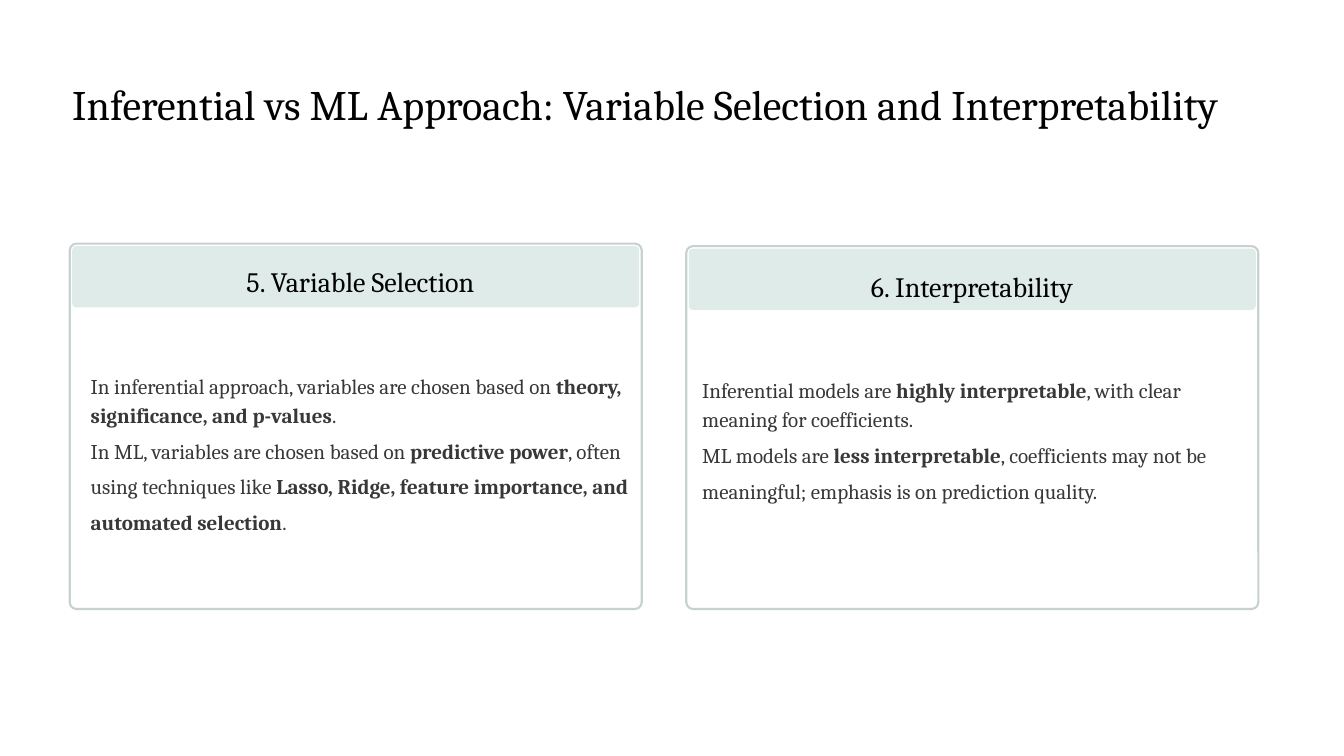
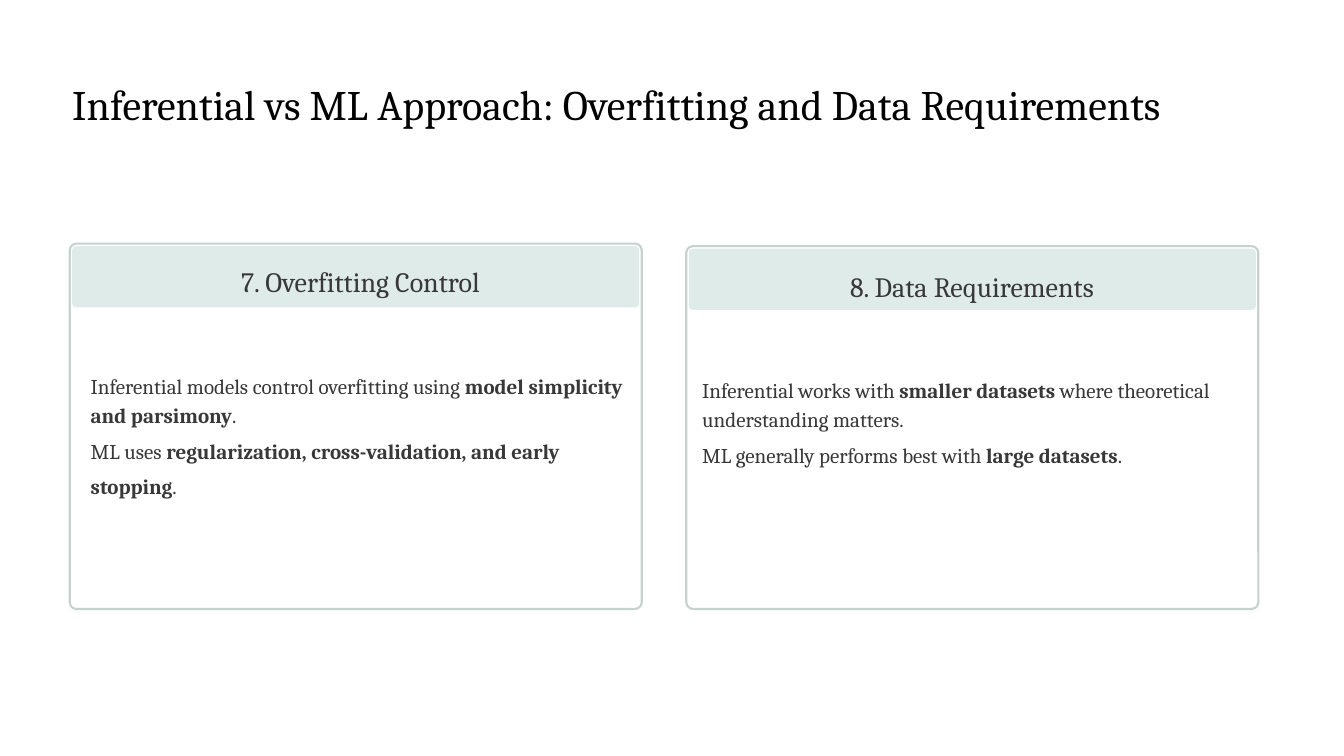
from dataclasses import dataclass

from pptx import Presentation
from pptx.dml.color import RGBColor
from pptx.enum.shapes import MSO_SHAPE
from pptx.enum.text import MSO_ANCHOR, PP_ALIGN
from pptx.shapes.autoshape import Shape
from pptx.slide import Slide
from pptx.text.text import TextFrame
from pptx.util import Emu, Inches, Pt

ROUNDED = MSO_SHAPE.ROUNDED_RECTANGLE
TOP = MSO_ANCHOR.TOP
LEFT, CENTER = PP_ALIGN.LEFT, PP_ALIGN.CENTER

COLUMNS, ROWS = 16, 9
SLIDE_WIDTH, SLIDE_HEIGHT = Inches(16), Inches(9)
FONT = "Cambria"
INK, GREY = "020202", "383838"
BAND_FILL, FRAME_LINE = "DFEBE9", "C5D2CF"
CARD_WIDTH, CARD_BOTTOM = 6.81, 7.25
BAND_INSET, BAND_HEIGHT = 0.03, 0.73
FRAME_RADIUS, BAND_RADIUS = 0.08, 0.05

TIGHT, LOOSE = Pt(25), Pt(30.5)
TITLE_FORMAT = {"alignment": LEFT, "line_spacing": Pt(51)}
HEADING_FORMAT = {"alignment": CENTER, "line_spacing": LOOSE}
INFERENTIAL_FORMAT = {"alignment": LEFT, "line_spacing": TIGHT, "space_before": 2 * LOOSE}
ML_FORMAT = {"alignment": LEFT, "line_spacing": LOOSE}


@dataclass(frozen=True)
class Area:
    """A rectangle in columns and rows of the slide grid."""
    left: float
    top: float
    width: float
    height: float

    def lengths(self) -> tuple[Emu, ...]:
        column, row = SLIDE_WIDTH / COLUMNS, SLIDE_HEIGHT / ROWS
        return (Emu(round(self.left * column)), Emu(round(self.top * row)),
                Emu(round(self.width * column)), Emu(round(self.height * row)))


@dataclass(frozen=True)
class Place:
    """Where a card's frame and its text start."""
    left: float
    top: float
    text_left: float
    text_top: float


@dataclass(frozen=True)
class Card:
    """A heading and two statements; ** surrounds bold words."""
    heading: str
    inferential: str
    ml: str


@dataclass(frozen=True)
class Page:
    title: str
    heading_color: str
    cards: tuple[Card, Card]


TITLE_AREA = Area(0.86, 0.83, 14.93, 0.67)
PLACES = (Place(0.83, 2.9, 1.08, 3.13), Place(8.17, 2.93, 8.36, 3.18))
TEXT_WIDTH, TEXT_HEIGHT = 6.42, 3.7

PAGES = (
    Page("Inferential vs ML Approach: Variable Selection and Interpretability", INK, (
        Card("5. Variable Selection",
             "In inferential approach, variables are chosen based on "
             "**theory, significance, and p-values**.",
             "In ML, variables are chosen based on **predictive power**, often using "
             "techniques like **Lasso, Ridge, feature importance, and automated selection**."),
        Card("6. Interpretability",
             "Inferential models are **highly interpretable**, with clear meaning "
             "for coefficients.",
             "ML models are **less interpretable**, coefficients may not be meaningful; "
             "emphasis is on prediction quality."),
    )),
    Page("Inferential vs ML Approach: Overfitting and Data Requirements", GREY, (
        Card("7. Overfitting Control",
             "Inferential models control overfitting using "
             "**model simplicity and parsimony**.",
             "ML uses **regularization, cross-validation, and early stopping**."),
        Card("8. Data Requirements",
             "Inferential works with **smaller datasets** where theoretical "
             "understanding matters.",
             "ML generally performs best with **large datasets**."),
    )),
)


def rgb(color: str) -> RGBColor:
    return RGBColor.from_string(color)


def add_rounded(slide: Slide, area: Area, radius: float) -> Shape:
    box = slide.shapes.add_shape(ROUNDED, *area.lengths())
    box.adjustments[0] = radius / min(area.width, area.height)
    box.shadow.inherit = False
    return box


def add_text_frame(slide: Slide, area: Area) -> TextFrame:
    frame = slide.shapes.add_textbox(*area.lengths()).text_frame
    settings = {"word_wrap": True, "vertical_anchor": TOP, "margin_left": 0,
                "margin_right": 0, "margin_top": 0, "margin_bottom": 0}
    for name, value in settings.items():
        setattr(frame, name, value)
    return frame


def write(frame: TextFrame, text: str, size: float, color: str, layout: dict) -> None:
    """Fill the empty first paragraph or append one, with ** switching bold."""
    first = frame.paragraphs[0]
    para = frame.add_paragraph() if first.runs else first
    for name, value in layout.items():
        setattr(para, name, value)
    for index, words in enumerate(text.split("**")):
        span = para.add_run()
        span.text = words
        span.font.color.rgb = rgb(color)
        for name, value in {"name": FONT, "size": Pt(size), "bold": index % 2 == 1}.items():
            setattr(span.font, name, value)


def add_card(slide: Slide, card: Card, place: Place, heading_color: str) -> None:
    band = add_rounded(slide, Area(place.left + BAND_INSET, place.top + BAND_INSET,
                                   CARD_WIDTH - 2 * BAND_INSET, BAND_HEIGHT), BAND_RADIUS)
    band.fill.solid()
    band.fill.fore_color.rgb = rgb(BAND_FILL)
    band.line.fill.background()

    border = add_rounded(slide, Area(place.left, place.top, CARD_WIDTH,
                                     CARD_BOTTOM - place.top), FRAME_RADIUS)
    border.fill.background()
    border.line.color.rgb = rgb(FRAME_LINE)
    border.line.width = Pt(1.8)

    frame = add_text_frame(slide, Area(place.text_left, place.text_top,
                                       TEXT_WIDTH, TEXT_HEIGHT))
    write(frame, card.heading, 24, heading_color, HEADING_FORMAT)
    write(frame, card.inferential, 18, GREY, INFERENTIAL_FORMAT)
    write(frame, card.ml, 18, GREY, ML_FORMAT)


def main() -> None:
    deck = Presentation()
    deck.slide_width, deck.slide_height = SLIDE_WIDTH, SLIDE_HEIGHT
    blank = deck.slide_layouts[6]
    for page in PAGES:
        slide = deck.slides.add_slide(blank)
        write(add_text_frame(slide, TITLE_AREA), page.title, 36, INK, TITLE_FORMAT)
        for card, place in zip(page.cards, PLACES):
            add_card(slide, card, place, page.heading_color)
    deck.save("out.pptx")


if __name__ == "__main__":
    main()
